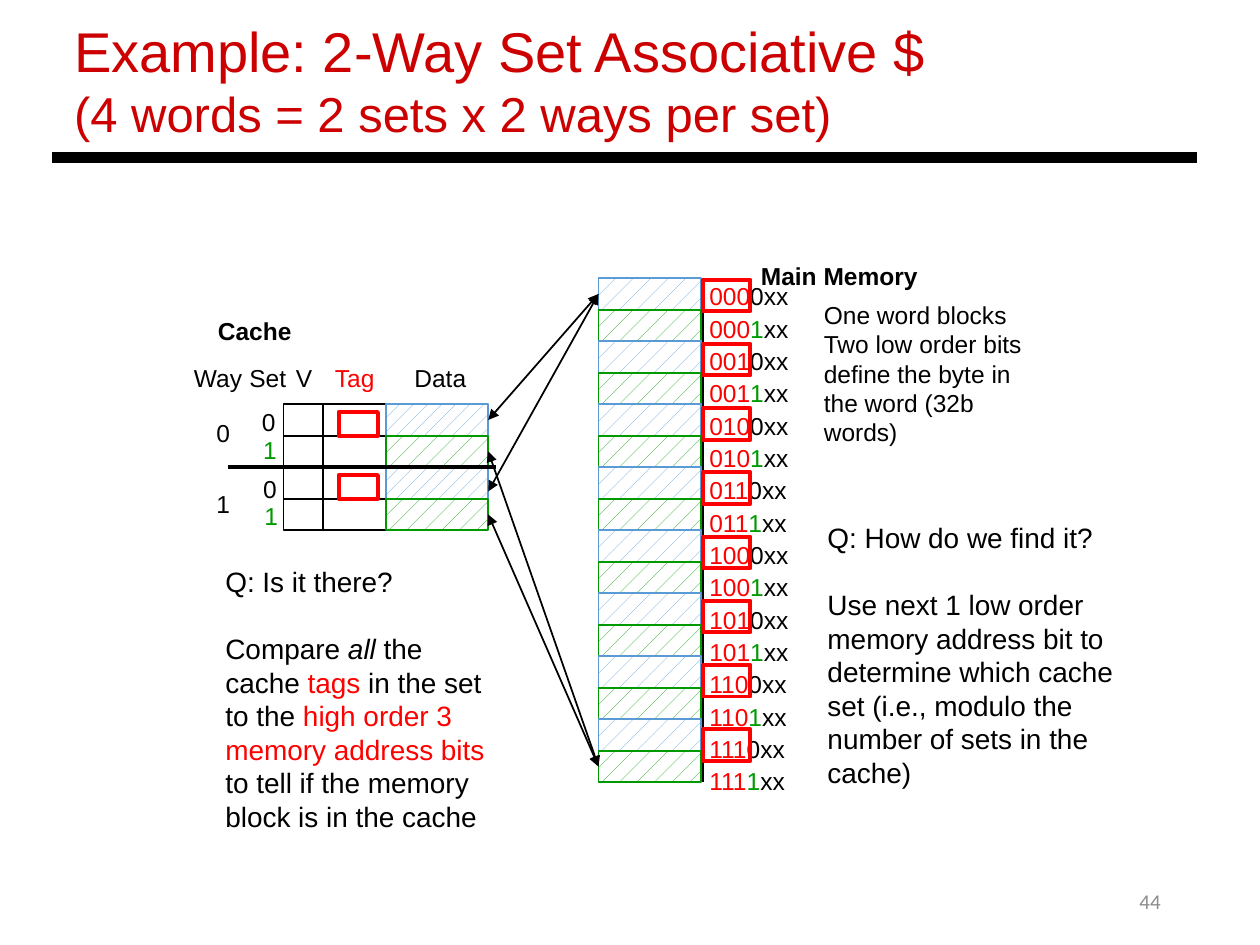
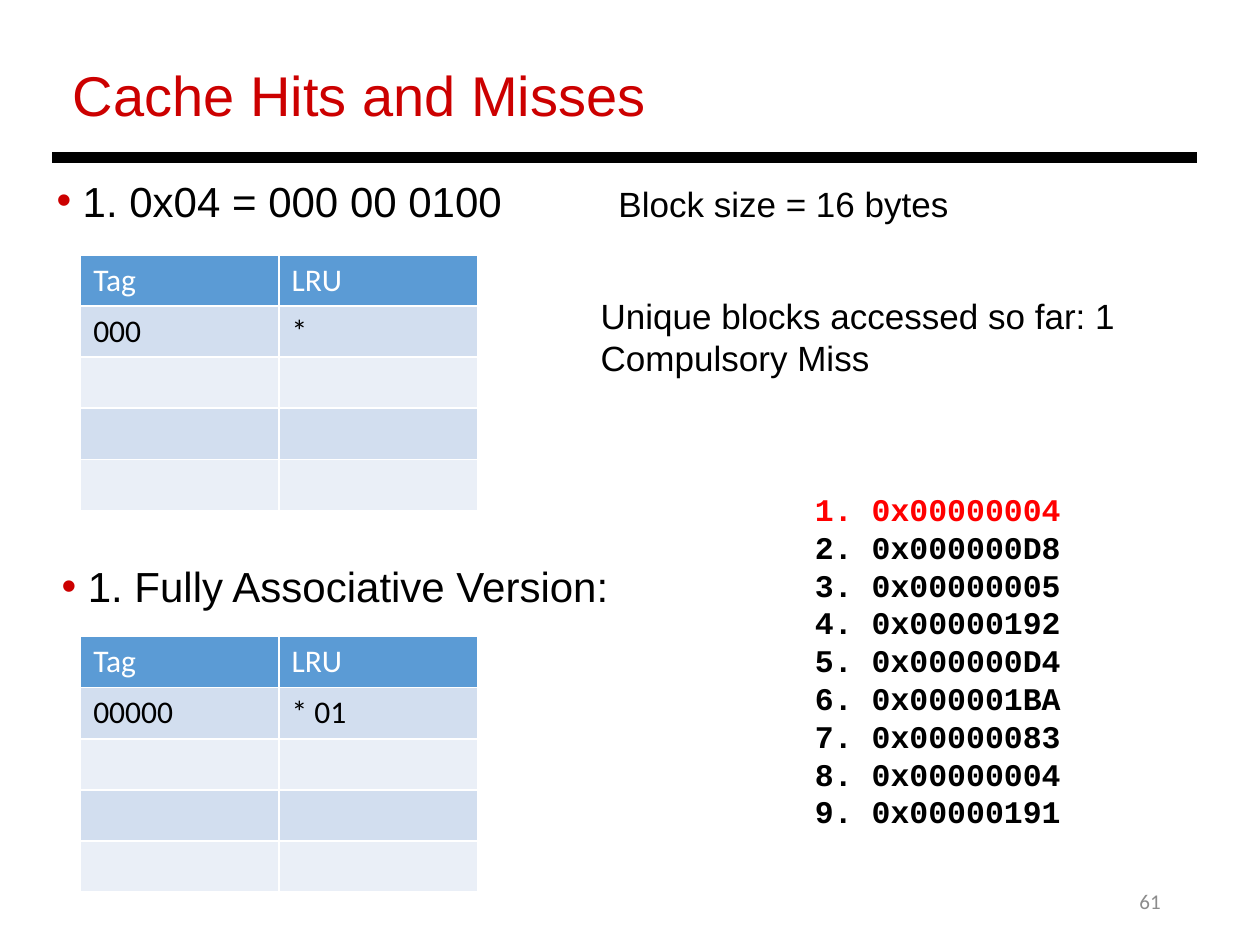
from dataclasses import dataclass
from typing import NamedTuple, Sequence

from pptx import Presentation
from pptx.dml.color import RGBColor
from pptx.enum.dml import MSO_PATTERN
from pptx.enum.shapes import MSO_CONNECTOR, MSO_SHAPE
from pptx.enum.text import MSO_ANCHOR, PP_ALIGN
from pptx.oxml.ns import qn
from pptx.util import Pt
from lxml.etree import SubElement

BLACK, WHITE, RED, GREEN = "000000", "FFFFFF", "FF0000", "009900"
BLUE, TITLE_RED, GREY = "5B9BD5", "CC0000", "8C8C8C"
BANDS = ("D2DEEF", "EAEFF7")
ROW_H, DATA_W = 18, 58.5
CACHE_X, CACHE_Y, CACHE_ROWS = 220.5, 231, 4
MEM_X, MEM_Y, MEM_ROWS = 342, 159, 16
MEM_RIGHT = 401.8
TABLE_ROWS, TABLE_COLS = 5, 2
TABLE_COL_W, TABLE_ROW_H = 113.4, 29.25


class Box(NamedTuple):
    """Position and size in points."""
    x: float
    y: float
    w: float
    h: float


@dataclass(frozen=True)
class Run:
    """A stretch of text with one look."""
    text: str
    size: float = 14
    color: str = BLACK
    bold: bool = False
    italic: bool = False
    font: str = "Arial"
    line_break: bool = False


@dataclass(frozen=True)
class Para:
    """A paragraph made of runs."""
    runs: Sequence[Run]
    before: float = 0
    spacing: float = 1.0
    align: PP_ALIGN = PP_ALIGN.LEFT
    bullet: bool = False


class Label(NamedTuple):
    """A one-line caption that does not wrap."""
    text: str
    x: float
    y: float
    w: float = 22.3
    color: str = BLACK
    bold: bool = False


LABELS = (
    Label("Cache", 117.4, 177.1, 56.9, bold=True),
    Label("Main Memory", 427.7, 145.4, 104.4, bold=True),
    Label("Way", 103.7, 203.8, 42.5),
    Label("Set", 135.4, 203.8, 36),
    Label("V", 162, 203.8, 23.8),
    Label("Tag", 184.3, 203.8, 37.4, RED),
    Label("Data", 229.7, 203.8, 44.6),
    Label("0", 142.6, 229),
    Label("1", 143.3, 244.8, color=GREEN),
    Label("0", 143.3, 267.1),
    Label("1", 144, 283, color=GREEN),
    Label("0", 116.6, 235.4),
    Label("1", 116.6, 275.8),
)
ADDRESSES = ("0x00000004", "0x000000D8", "0x00000005", "0x00000192", "0x000000D4",
             "0x000001BA", "0x00000083", "0x00000004", "0x00000191")


def rgb(value: str) -> RGBColor:
    """Turn a hex string into a colour."""
    return RGBColor.from_string(value)


def add_bullet(p) -> None:
    """Give a paragraph a red bullet with a hanging indent."""
    pPr = p._p.get_or_add_pPr()
    pPr.set("marL", str(Pt(15)))
    pPr.set("indent", str(-Pt(15)))
    SubElement(SubElement(pPr, qn("a:buClr")), qn("a:srgbClr")).set("val", TITLE_RED)
    SubElement(pPr, qn("a:buFont")).set("typeface", "Arial")
    SubElement(pPr, qn("a:buChar")).set("char", "•")


def write(p, runs: Sequence[Run]) -> None:
    """Add runs to a paragraph."""
    for run in runs:
        r = p.add_run()
        r.text = run.text
        r.font.name = run.font
        r.font.size = Pt(run.size)
        r.font.bold = run.bold
        r.font.italic = run.italic
        r.font.color.rgb = rgb(run.color)
        if run.line_break:
            p.add_line_break()


def add_text(s, box: Box, paras: Sequence[Para], wrap: bool = True,
             anchor: MSO_ANCHOR = MSO_ANCHOR.TOP) -> None:
    """Add a text box."""
    tf = s.shapes.add_textbox(*map(Pt, box)).text_frame
    tf.word_wrap = wrap
    tf.vertical_anchor = anchor
    for i, para in enumerate(paras):
        p = tf.paragraphs[0] if i == 0 else tf.add_paragraph()
        p.alignment = para.align
        p.line_spacing = para.spacing
        p.space_before = Pt(para.before)
        if para.bullet:
            add_bullet(p)
        write(p, para.runs)


def add_line(s, x1: float, y1: float, x2: float, y2: float, width: float = 1):
    """Add a straight black line without shadow."""
    c = s.shapes.add_connector(MSO_CONNECTOR.STRAIGHT, Pt(x1), Pt(y1), Pt(x2), Pt(y2))
    c.line.width = Pt(width)
    c.line.color.rgb = rgb(BLACK)
    SubElement(c._element.spPr, qn("a:effectLst"))
    return c


def add_rect(s, box: Box, color: str = BLACK, width: float = 1):
    """Add an outlined rectangle."""
    sp = s.shapes.add_shape(MSO_SHAPE.RECTANGLE, *map(Pt, box))
    sp.shadow.inherit = False
    sp.fill.background()
    sp.line.color.rgb = rgb(color)
    sp.line.width = Pt(width)
    return sp


def add_words(s, x: float, y: float, rows: int, blue_pattern: MSO_PATTERN) -> list:
    """Stack hatched words that alternate between set 0 and set 1."""
    words = []
    for row in range(rows):
        color, pattern = ((BLUE, blue_pattern), (GREEN, MSO_PATTERN.PERCENT_5))[row % 2]
        sp = add_rect(s, Box(x, y + row * ROW_H, DATA_W, ROW_H), color)
        sp.fill.patterned()
        sp.fill.pattern = pattern
        sp.fill.fore_color.rgb = rgb(color)
        sp.fill.back_color.rgb = rgb(WHITE)
        words.append(sp)
    return words


def add_cache_column(s, x: float, w: float) -> None:
    """Draw an empty cache column split into rows."""
    add_rect(s, Box(x, CACHE_Y, w, CACHE_ROWS * ROW_H))
    for row in range(1, CACHE_ROWS):
        y = CACHE_Y + row * ROW_H
        add_line(s, x, y, x + w, y)


def add_mapping(s, cache_word, mem_word, cache_y: float | None = None) -> None:
    """Link a cache word and a memory word with a two-headed arrow."""
    c = add_line(s, CACHE_X + DATA_W, cache_y or 0, MEM_X, 0)
    if cache_y is None:
        c.begin_connect(cache_word, 3)
    c.end_connect(mem_word, 1)
    ln = c._element.spPr.find(qn("a:ln"))
    for end in ("a:headEnd", "a:tailEnd"):
        SubElement(ln, qn(end)).set("type", "triangle")


def add_lru_table(s, y: float, entry: tuple[str, str]) -> None:
    """Add a Tag and LRU table with one filled row."""
    box = Box(46.1, y, TABLE_COLS * TABLE_COL_W, TABLE_ROWS * TABLE_ROW_H)
    table = s.shapes.add_table(TABLE_ROWS, TABLE_COLS, *map(Pt, box)).table
    texts = (("Tag", "LRU"), entry)
    for row in range(TABLE_ROWS):
        for col in range(TABLE_COLS):
            cell = table.cell(row, col)
            tcPr = cell._tc.get_or_add_tcPr()
            for side in ("a:lnL", "a:lnR", "a:lnT", "a:lnB"):
                ln = SubElement(tcPr, qn(side), w=str(Pt(1)))
                SubElement(SubElement(ln, qn("a:solidFill")), qn("a:srgbClr")).set("val", WHITE)
            cell.fill.solid()
            cell.fill.fore_color.rgb = rgb(BANDS[(row - 1) % 2] if row else BLUE)
            if row < len(texts):
                color = BLACK if row else WHITE
                write(cell.text_frame.paragraphs[0],
                      [Run(texts[row][col], 18, color, font="Calibri")])


def new_slide(prs, title_box: Box, title: Sequence[Run], number: str):
    """Add a slide with its title, rule and number."""
    s = prs.slides.add_slide(prs.slide_layouts[6])
    add_text(s, Box(508.3, 500.4, 162, 28.8),
             [Para([Run(number, 12, GREY, font="Calibri")], align=PP_ALIGN.RIGHT)],
             anchor=MSO_ANCHOR.MIDDLE)
    add_text(s, title_box, [Para(title)])
    add_line(s, 30, 90, 684, 90, 6)
    return s


def address(row: int) -> Para:
    """Write a memory address with tag, set and byte bits."""
    tag = Run(f"{row // 2:03b}", color=RED)
    rest = [Run("1", color=GREEN), Run("xx")] if row % 2 else [Run("0xx")]
    return Para([tag, *rest], spacing=1.1)


def build_associative(prs) -> None:
    """Build the two-way set associative slide."""
    title = [Run("Example: 2-Way Set Associative $", 32, TITLE_RED, line_break=True),
             Run("(4 words = 2 sets x 2 ways per set)", 28, TITLE_RED)]
    s = new_slide(prs, Box(35.3, 5.8, 554.4, 80), title, "44")
    add_cache_column(s, 162, 22.5)
    add_cache_column(s, 184.5, 36)
    add_line(s, MEM_RIGHT, MEM_Y, MEM_RIGHT, MEM_Y + MEM_ROWS * ROW_H)
    cache = add_words(s, CACHE_X, CACHE_Y, CACHE_ROWS, MSO_PATTERN.PERCENT_10)
    memory = add_words(s, MEM_X, MEM_Y, MEM_ROWS, MSO_PATTERN.PERCENT_5)
    add_mapping(s, cache[0], memory[0])
    add_mapping(s, cache[2], memory[0], 280.8)
    add_mapping(s, cache[3], memory[-1])
    add_mapping(s, cache[1], memory[-1])
    add_line(s, 130.5, 267, 283.5, 267, 2.25)
    for label in LABELS:
        add_text(s, Box(label.x, label.y, label.w, 24.5),
                 [Para([Run(label.text, color=label.color, bold=label.bold)])], wrap=False)
    add_text(s, Box(398.2, 155.5, 70.6, 306), [address(row) for row in range(MEM_ROWS)])
    add_text(s, Box(463.7, 167.8, 144, 74.9), [
        Para([Run("One word blocks")]),
        Para([Run("Two low order bits define the byte in the word (32b words)")])])
    add_text(s, Box(465.8, 293.8, 191.5, 162.7), [
        Para([Run("Q: How do we find it?", 16)]),
        Para([Run("Use next 1 low order memory address bit to determine which cache set "
                  "(i.e., modulo the number of sets in the cache)", 16)], before=19.2)])
    add_text(s, Box(121.7, 319, 166.3, 162.7), [
        Para([Run("Q: Is it there?", 16)]),
        Para([Run("Compare ", 16), Run("all", 16, italic=True), Run(" the cache ", 16),
              Run("tags ", 16, RED), Run("in the set to the ", 16),
              Run("high order 3 memory address bits", 16, RED),
              Run(" to tell if the memory block is in the cache", 16)], before=19.2)])
    for way in range(2):
        add_rect(s, Box(193.5, 235.5 + way * 2 * ROW_H, 22.5, 13.5), RED, 2.25)
    for tag in range(MEM_ROWS // 2):
        add_rect(s, Box(MEM_RIGHT, 159.8 + tag * 36.7, 27, ROW_H), RED, 2.25)


def build_hits(prs) -> None:
    """Build the hits and misses slide."""
    s = new_slide(prs, Box(34.6, 31, 632.9, 46.1),
                  [Run("Cache Hits and Misses", 32, TITLE_RED)], "61")
    add_text(s, Box(25.2, 96.5, 642.2, 36),
             [Para([Run("1. 0x04 = 000 00 0100", 24)], bullet=True)])
    add_lru_table(s, 145.6, ("000", "*"))
    add_text(s, Box(28.1, 316.8, 642.2, 36),
             [Para([Run("1. Fully Associative Version:", 24)], bullet=True)])
    add_lru_table(s, 363.7, ("00000", "* 01"))
    add_text(s, Box(458.6, 276.5, 198, 203.8), [
        Para([Run(f"{n}. {item}", 18, RED if n == 1 else BLACK, True, font="Courier New")])
        for n, item in enumerate(ADDRESSES, 1)])
    add_text(s, Box(336.2, 164.9, 360, 55.4), [
        Para([Run("Unique blocks accessed so far: 1", 20)]),
        Para([Run("Compulsory Miss", 20)])])
    add_text(s, Box(346.3, 100.8, 360, 31.7), [Para([Run("Block size = 16 bytes", 20)])])


def main() -> None:
    """Build and save the presentation."""
    prs = Presentation()
    prs.slide_width, prs.slide_height = Pt(720), Pt(540)
    build_associative(prs)
    build_hits(prs)
    prs.save("out.pptx")


if __name__ == "__main__":
    main()
